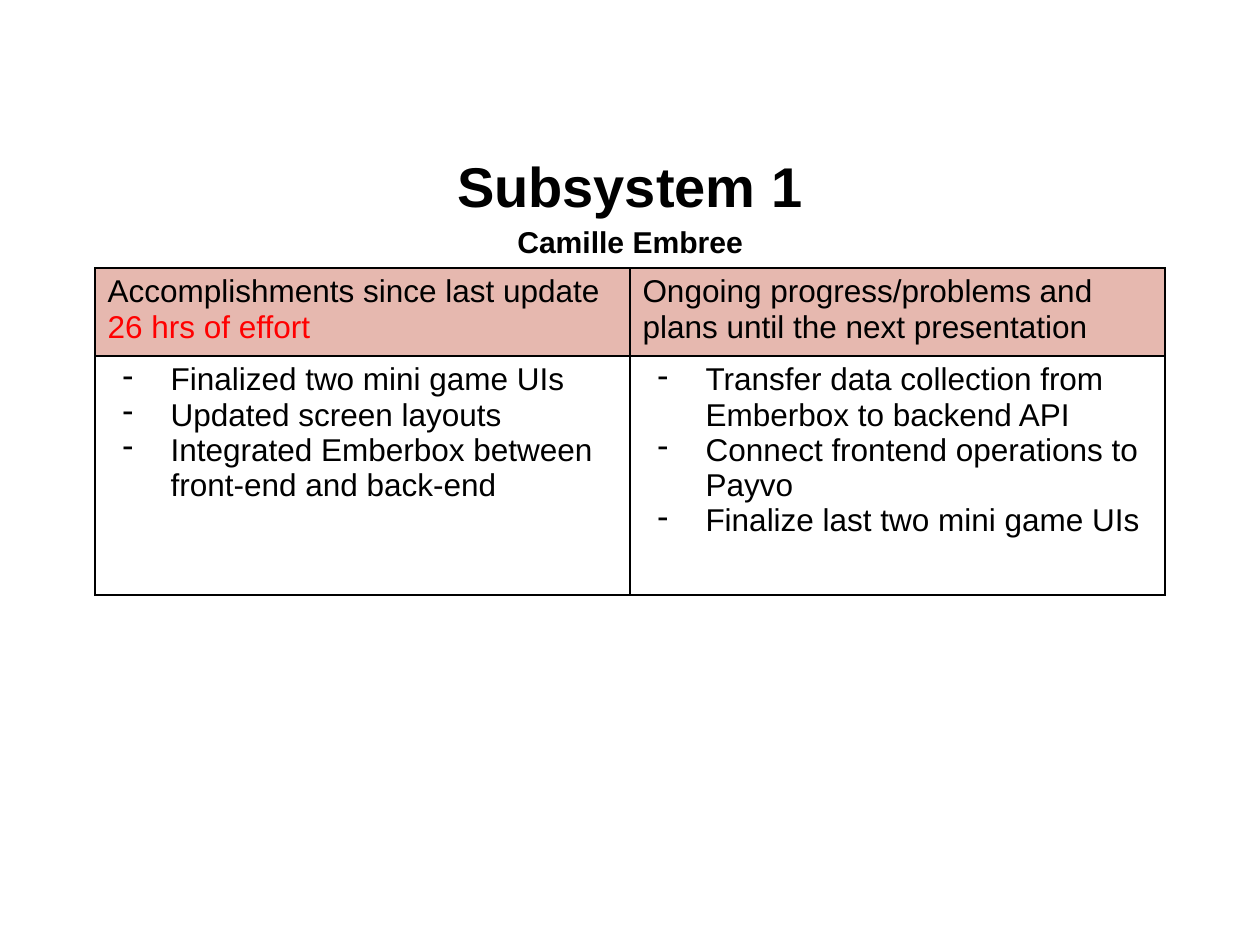
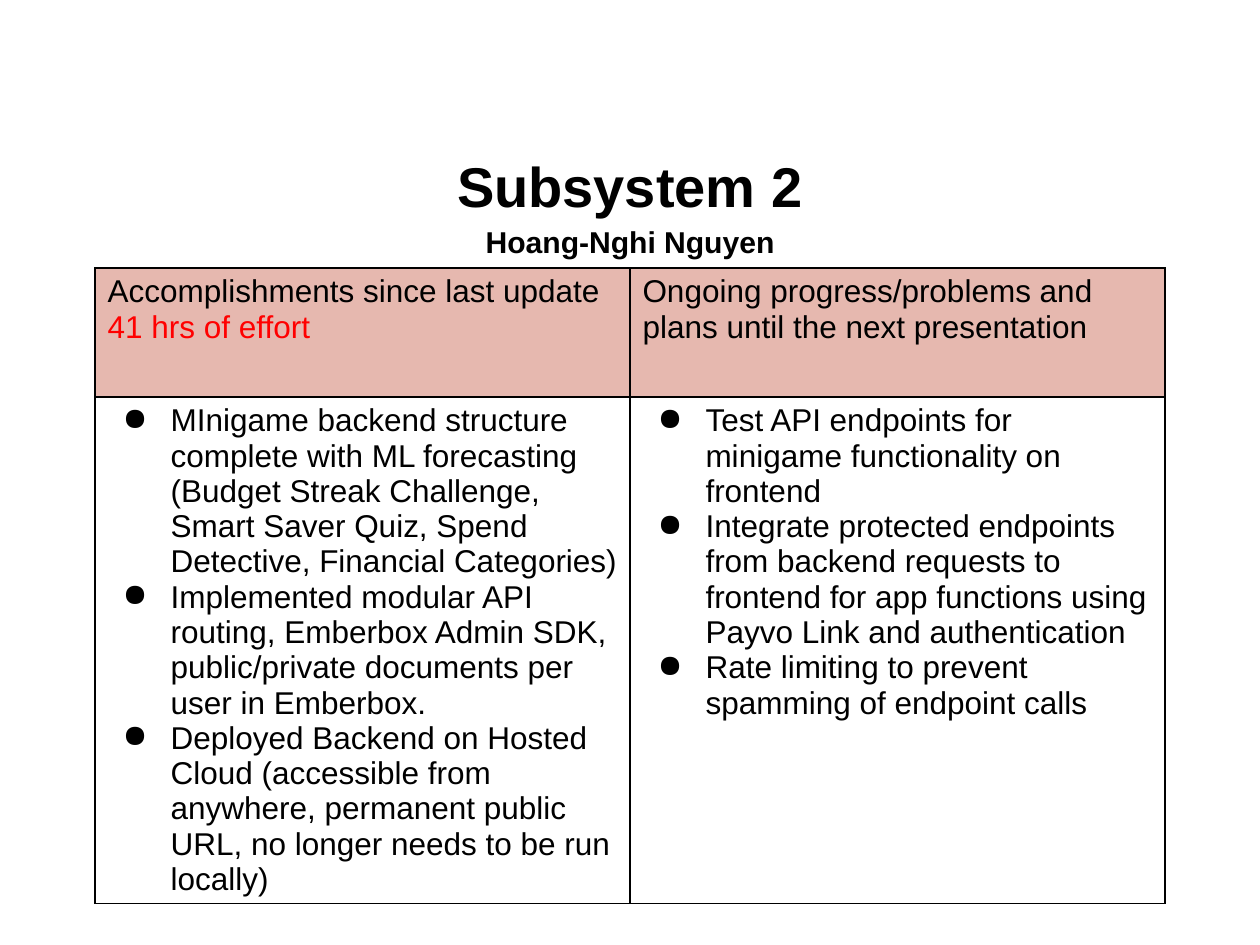
import dataclasses

import lxml.etree
import pptx
import pptx.dml.color
import pptx.enum.text
import pptx.oxml.ns
import pptx.util


@dataclasses.dataclass(frozen=True)
class Theme:
    font: str = "Arial"
    ink: str = "000000"
    effort: str = "FF0000"
    header: str = "E6B8AF"
    title_size: float = 32
    name_size: float = 17.2
    body_size: float = 18


theme = Theme()
PX_PER_INCH = 126
HEADINGS = ("Accomplishments since last update ",
            "Ongoing progress/problems and plans until the next presentation")

subsystems = [
    dict(title="Subsystem 1", member="Camille Embree", effort="26 hrs of effort",
         bullet="-", row_heights=(88, 239),
         columns=(
             ["Finalized two mini game UIs",
              "Updated screen layouts",
              "Integrated Emberbox between front-end and back-end"],
             ["Transfer data collection from Emberbox to backend API",
              "Connect frontend operations to Payvo",
              "Finalize last two mini game UIs"])),
    dict(title="Subsystem 2", member="Hoang-Nghi Nguyen", effort="41 hrs of effort",
         bullet="●", row_heights=(129, 348),
         columns=(
             ["MInigame backend structure complete with ML forecasting (Budget Streak "
              "Challenge, Smart Saver Quiz, Spend Detective, Financial Categories)",
              "Implemented modular API routing, Emberbox Admin SDK, public/private "
              "documents per user in Emberbox.",
              "Deployed Backend on Hosted Cloud (accessible from anywhere, permanent "
              "public URL, no longer needs to be run locally)"],
             ["Test API endpoints for minigame functionality on frontend",
              "Integrate protected endpoints from backend requests to frontend for app "
              "functions using Payvo Link and authentication",
              "Rate limiting to prevent spamming of endpoint calls"])),
]


def px(length):
    return pptx.util.Emu(round(length * 914400 / PX_PER_INCH))


def style(paragraph, size, bold=False):
    paragraph.font.name = theme.font
    paragraph.font.size = pptx.util.Pt(size)
    paragraph.font.bold = bold
    paragraph.font.color.rgb = pptx.dml.color.RGBColor.from_string(theme.ink)


deck = pptx.Presentation()
deck.slide_width, deck.slide_height = px(1260), px(945)

for subsystem in subsystems:
    page = deck.slides.add_slide(deck.slide_layouts[5])

    # Title with the member's name below
    title = page.shapes.title
    title.left, title.top, title.width, title.height = px(63), px(145), px(1134), px(111)
    frame = title.text_frame
    frame.text = subsystem["title"] + "\n" + subsystem["member"]
    frame.word_wrap = True
    frame.auto_size = pptx.enum.text.MSO_AUTO_SIZE.NONE
    frame.vertical_anchor = pptx.enum.text.MSO_ANCHOR.MIDDLE
    for paragraph, size in zip(frame.paragraphs, (theme.title_size, theme.name_size)):
        paragraph.alignment = pptx.enum.text.PP_ALIGN.CENTER
        paragraph.line_spacing = 1.15
        style(paragraph, size, bold=True)

    # Progress table
    heights = subsystem["row_heights"]
    table = page.shapes.add_table(2, 2, px(95), px(268), px(1070), px(sum(heights))).table
    table.first_row = table.horz_banding = False
    for row, height in zip(table.rows, heights):
        row.height = px(height)

    # Header row
    for cell, heading in zip(table.rows[0].cells, HEADINGS):
        cell.text = heading
        style(cell.text_frame.paragraphs[0], theme.body_size)
        cell.fill.solid()
        cell.fill.fore_color.rgb = pptx.dml.color.RGBColor.from_string(theme.header)
    span = table.cell(0, 0).text_frame.paragraphs[0].add_run()
    span.text = subsystem["effort"]
    span.font.color.rgb = pptx.dml.color.RGBColor.from_string(theme.effort)

    # Bulleted row
    for cell, items in zip(table.rows[1].cells, subsystem["columns"]):
        cell.text = "\n".join(items)
        cell.fill.background()
        for paragraph in cell.text_frame.paragraphs:
            properties = paragraph._p.get_or_add_pPr()
            properties.set("marL", str(px(63)))
            properties.set("indent", str(px(-48)))
            bullet = lxml.etree.SubElement(properties, pptx.oxml.ns.qn("a:buChar"))
            bullet.set("char", subsystem["bullet"])
            style(paragraph, theme.body_size)

    # Cell borders
    for cell in table.iter_cells():
        for position, side in enumerate(("lnL", "lnR", "lnT", "lnB")):
            line = lxml.etree.Element(pptx.oxml.ns.qn("a:" + side), w=str(pptx.util.Pt(1)))
            fill = lxml.etree.SubElement(line, pptx.oxml.ns.qn("a:solidFill"))
            lxml.etree.SubElement(fill, pptx.oxml.ns.qn("a:srgbClr"), val=theme.ink)
            cell._tc.get_or_add_tcPr().insert(position, line)

deck.save("out.pptx")
